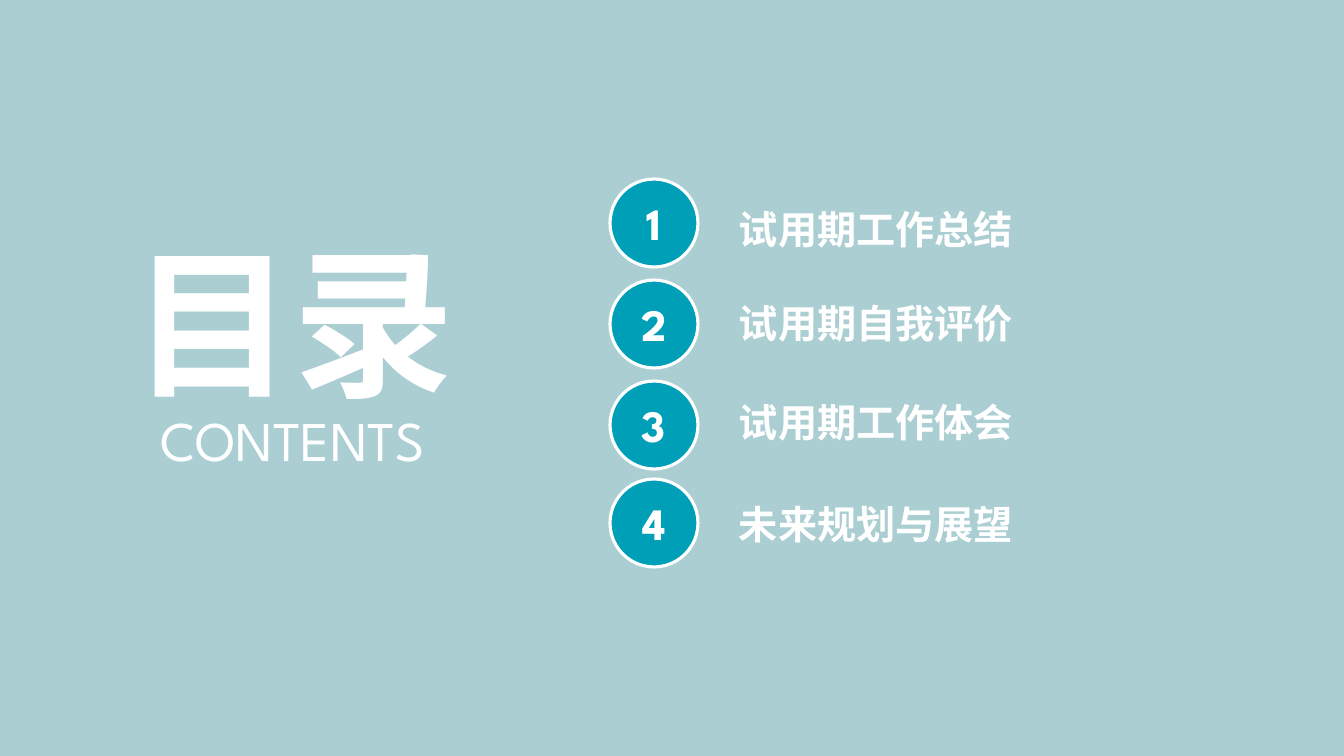
from lxml import etree
from pptx import Presentation
from pptx.dml.color import RGBColor
from pptx.enum.shapes import MSO_SHAPE
from pptx.enum.text import MSO_ANCHOR, MSO_AUTO_SIZE, PP_ALIGN
from pptx.oxml.ns import qn
from pptx.util import Emu, Pt

OVAL = MSO_SHAPE.OVAL
TOP, MIDDLE = MSO_ANCHOR.TOP, MSO_ANCHOR.MIDDLE
LEFT, CENTER = PP_ALIGN.LEFT, PP_ALIGN.CENTER
FIT_SHAPE, NO_FIT = MSO_AUTO_SIZE.SHAPE_TO_FIT_TEXT, MSO_AUTO_SIZE.NONE

EMU_PER_PX = 914400 / 100.8
TITLE_ONLY = 5
COLORS = {"background": "AACED2", "badge": "009FB8", "white": "FFFFFF"}
LATIN_FONT = "League Spartan"
CHINESE_FONT = "Noto Sans CJK SC"

BADGE_LEFT, BADGE_SIZE = 610, 88
ENTRY_LEFT, ENTRY_WIDTH, ENTRY_HEIGHT = 729, 297, 57
CHAPTERS = [
    ("试用期工作总结", 179, 200),
    ("试用期自我评价", 280, 294),
    ("试用期工作体会", 381, 393),
    ("未来规划与展望", 479, 495),
]


def px(length):
    return Emu(round(length * EMU_PER_PX))


def color(name):
    return RGBColor.from_string(COLORS[name])


def write(shape, text, size, bold=False, font=LATIN_FONT, align=LEFT,
          anchor=TOP, wrap=False, fit=FIT_SHAPE):
    frame = shape.text_frame
    frame.word_wrap = wrap
    frame.auto_size = fit
    frame.vertical_anchor = anchor
    paragraph = frame.paragraphs[0]
    paragraph.alignment = align
    run = paragraph.add_run()
    run.text = text
    run.font.size = Pt(size)
    run.font.bold = bold
    run.font.name = font
    run.font.color.rgb = color("white")
    east_asian = etree.SubElement(run.font._element, qn("a:ea"))
    east_asian.set("typeface", CHINESE_FONT)


class ContentsSlide:
    def __init__(self, deck):
        self.slide = deck.slides.add_slide(deck.slide_layouts[TITLE_ONLY])
        background = self.slide.background.fill
        background.solid()
        background.fore_color.rgb = color("background")

    def title(self, text, left, top, width, height, **style):
        heading = self.slide.shapes.title
        heading.left, heading.top = px(left), px(top)
        heading.width, heading.height = px(width), px(height)
        write(heading, text, **style)

    def label(self, text, left, top, width, height, **style):
        box = self.slide.shapes.add_textbox(
            px(left), px(top), px(width), px(height))
        write(box, text, **style)

    def badge(self, number, left, top, size):
        circle = self.slide.shapes.add_shape(
            OVAL, px(left), px(top), px(size), px(size))
        circle.shadow.inherit = False
        circle.fill.solid()
        circle.fill.fore_color.rgb = color("badge")
        circle.line.color.rgb = color("white")
        circle.line.width = Pt(2.25)
        write(circle, str(number), size=32, bold=True, align=CENTER,
              anchor=MIDDLE, wrap=True, fit=NO_FIT)


def main():
    deck = Presentation()
    deck.slide_width, deck.slide_height = px(1344), px(756)
    contents = ContentsSlide(deck)
    contents.title("目录", 120, 218, 346, 206, size=115, bold=True,
                   font=CHINESE_FONT, align=CENTER)
    contents.label("CONTENTS", 140, 401, 305, 78, size=40, align=CENTER)
    for number, (chapter, badge_top, entry_top) in enumerate(CHAPTERS, 1):
        contents.label(chapter, ENTRY_LEFT, entry_top, ENTRY_WIDTH,
                       ENTRY_HEIGHT, size=28, bold=True)
        contents.badge(number, BADGE_LEFT, badge_top, BADGE_SIZE)
    deck.save("out.pptx")


if __name__ == "__main__":
    main()
